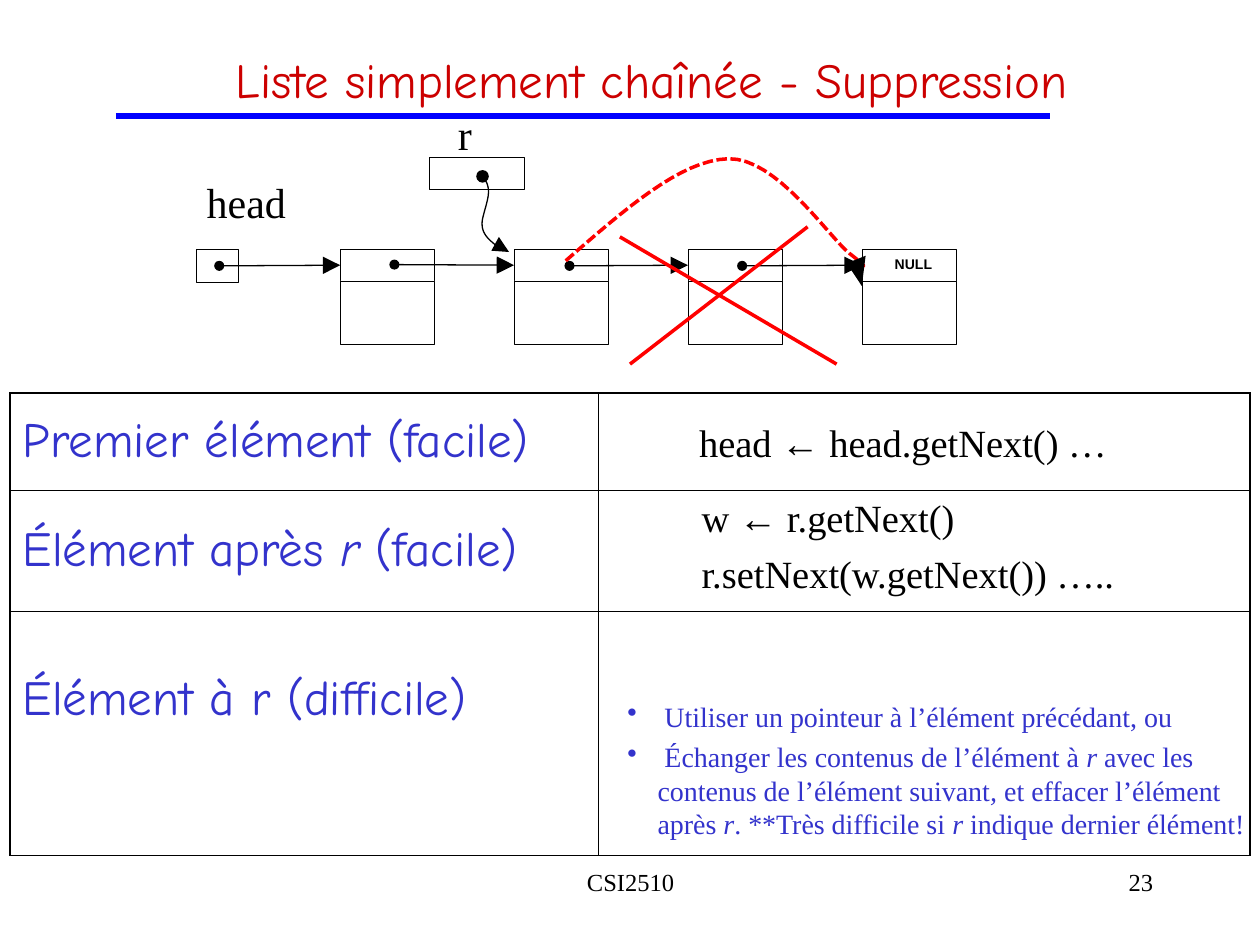
from lxml.etree import SubElement
from pptx import Presentation
from pptx.dml.color import RGBColor
from pptx.enum.dml import MSO_LINE
from pptx.enum.shapes import MSO_CONNECTOR, MSO_SHAPE
from pptx.enum.text import MSO_ANCHOR, PP_ALIGN
from pptx.oxml import parse_xml
from pptx.oxml.ns import nsdecls, qn
from pptx.util import Emu, Pt

PX = 9144
COLORS = {"title": "CC0000", "text": "3333CC", "ink": "000000", "paper": "FFFFFF",
          "mark": "FF0000", "rule": "0000FF"}
SERIF, COMIC, SANS = "Times New Roman", "Comic Neue", "Arial"
LEFT, CENTER, RIGHT = PP_ALIGN.LEFT, PP_ALIGN.CENTER, PP_ALIGN.RIGHT

TITLE = [["Liste simplement chaînée - Suppression"]]
FOOTER = [["CSI2510"]]
PAGE = [["23"]]
CASES = [
    ["Premier élément (facile)"],
    ["Élément après ", ("r", "i"), " (facile)"],
    ["Élément à r (difficile)"],
]
FIRST_CODE = [["head ", ("←", SANS), " head.getNext() …"]]
AFTER_CODE = [["w ", ("←", SANS), " r.getNext()"], ["r.setNext(w.getNext()) ….."]]
ADVICE = [
    [" Utiliser un pointeur à l’élément précédant, ou"],
    [" Échanger les contenus de l’élément à ", ("r ", "i"),
     "avec les contenus de l’élément suivant", (", ", "i"), "et effacer l’élément après",
     (" r", "i"), ". **Très difficile si ", ("r", "i"), " indique dernier élément!"],
]

TABLE_BOX = (8, 312, 984, 367)
COL_WIDTHS, ROW_HEIGHTS = (467, 517), (77, 96, 194)
OUTER, INNER = 1.08, 0.45
NODE_LEFT, NODE_STEP, NODE_TOP, NODE_W, NODE_H = 270, 138, 198, 75, 25
DOTS = [(174, 211), (313, 210), (452, 211), (589, 211)]
R_DOT = (383, 140)
R_CURVE = [(383, 140), (392, 150), (386, 160), (383, 174), (381, 185), (388, 190), (394, 195)]
BYPASS = [(449, 207), (495, 167), (540, 127), (578, 126), (616, 125), (657, 187),
          (674, 201), (692, 215), (683, 210), (684, 211)]
R_HEAD = [(396, 188), (404, 200), (390, 199)]
BYPASS_HEAD = [(687, 203), (672, 209), (684, 227)]
CROSS = [(641, 180, 500, 289), (492, 188, 664, 289)]

prs = Presentation()
prs.slide_width, prs.slide_height = Emu(1000 * PX), Emu(750 * PX)
s = prs.slides.add_slide(prs.slide_layouts[6])


def rgb(name):
    return RGBColor.from_string(COLORS[name])


def emu(values):
    return [Emu(round(v * PX)) for v in values]


def write(tf, paragraphs, size, font, color="ink", align=LEFT, before=0, bold=None):
    for i, parts in enumerate(paragraphs):
        p = tf.add_paragraph() if i else tf.paragraphs[0]
        p.alignment, p.space_before = align, Pt(before)
        p.font.size, p.font.name, p.font.bold = Pt(size), font, bold
        p.font.color.rgb = rgb(color)
        for part in parts:
            text, style = (part, None) if isinstance(part, str) else part
            r = p.add_run()
            r.text = text
            if style == "i":
                r.font.italic = True
            elif style:
                r.font.name = style


def text_box(box, paragraphs, size, font, wrap=True, inset=True, anchor=MSO_ANCHOR.TOP, **style):
    tf = s.shapes.add_textbox(*emu(box)).text_frame
    tf.word_wrap, tf.vertical_anchor = wrap, anchor
    if not inset:
        tf.margin_left = tf.margin_top = tf.margin_right = tf.margin_bottom = 0
    write(tf, paragraphs, size, font, **style)
    return tf


def paint(sp, fill=None, line=None, width=0.25):
    sp.shadow.inherit = False
    if fill:
        sp.fill.solid()
        sp.fill.fore_color.rgb = rgb(fill)
    else:
        sp.fill.background()
    if line:
        sp.line.color.rgb = rgb(line)
        sp.line.width = Pt(width)
    else:
        sp.line.fill.background()
    return sp


def rect(*box):
    return paint(s.shapes.add_shape(MSO_SHAPE.RECTANGLE, *emu(box)), "paper", "ink")


def dot(center, size):
    x, y = center
    box = emu((x - size / 2, y - size / 2, size, size))
    return paint(s.shapes.add_shape(MSO_SHAPE.OVAL, *box), "ink")


def line(ends, color, width):
    c = s.shapes.add_connector(MSO_CONNECTOR.STRAIGHT, *emu(ends))
    c.line.color.rgb, c.line.width = rgb(color), Pt(width)
    SubElement(c._element.spPr, qn("a:effectLst"))
    return c


def outline(points, close):
    pts = [tuple(emu(pt)) for pt in points]
    builder = s.shapes.build_freeform(*pts[0])
    builder.add_line_segments(pts[1:], close=close)
    return builder.convert_to_shape()


def smooth_points(controls, steps=16):
    points = [controls[0]]
    for k in range(0, len(controls) - 1, 3):
        a, b, c, d = controls[k:k + 4]
        for n in range(1, steps + 1):
            t = n / steps
            u = 1 - t
            points.append(tuple(u**3 * a[j] + 3 * u * u * t * b[j] + 3 * u * t * t * c[j]
                                + t**3 * d[j] for j in (0, 1)))
    return points


def set_borders(cell, widths):
    tcPr = cell._tc.get_or_add_tcPr()
    for i, (side, width) in enumerate(zip("LRTB", widths)):
        tcPr.insert(i, parse_xml(
            f'<a:ln{side} {nsdecls("a")} w="{Pt(width)}"><a:solidFill>'
            f'<a:srgbClr val="{COLORS["ink"]}"/></a:solidFill></a:ln{side}>'))


text_box((342, 683, 317, 50), FOOTER, 14, SERIF, align=CENTER)
text_box((717, 683, 208, 50), PAGE, 14, SERIF, align=RIGHT)
text_box((92, 0, 850, 125), TITLE, 28, COMIC, anchor=MSO_ANCHOR.MIDDLE,
         color="title", align=CENTER)

table = s.shapes.add_table(3, 2, *emu(TABLE_BOX)).table
table.first_row = table.horz_banding = False
for col, width in zip(table.columns, emu(COL_WIDTHS)):
    col.width = width
for i, height in enumerate(emu(ROW_HEIGHTS)):
    table.rows[i].height = height
    for j in range(2):
        cell = table.cell(i, j)
        cell.fill.background()
        cell.vertical_anchor = MSO_ANCHOR.MIDDLE
        set_borders(cell, [OUTER if edge else INNER
                           for edge in (j == 0, j == 1, i == 0, i == 2)])
    write(table.cell(i, 0).text_frame, [CASES[i]], 28, COMIC, "text", before=7)
table.cell(2, 0).margin_bottom = Emu(58 * PX)

text_box((545, 328, 378, 47), FIRST_CODE, 22, SERIF, wrap=False, before=5.5)
text_box((547, 387, 387, 91), AFTER_CODE, 22, SERIF, wrap=False, before=5.5)
advice = text_box((488, 550, 512, 122), ADVICE, 16, SERIF, color="text", before=4)
for p in advice.paragraphs:
    pPr = p._p.get_or_add_pPr()
    pPr.set("marL", str(24 * PX))
    pPr.set("indent", str(-24 * PX))
    pPr.insert(1, parse_xml(f'<a:buChar {nsdecls("a")} char="•"/>'))

links = []
for k in range(4):
    x = NODE_LEFT + k * NODE_STEP
    links.append(rect(x, NODE_TOP, NODE_W, NODE_H))
    rect(x, NODE_TOP + NODE_H, NODE_W, 2 * NODE_H)
text_box((710, 203, 30, 13), [["NULL"]], 8, SANS, wrap=False, inset=False,
         align=CENTER, bold=True)
rect(156, 198, 33, 26)
for center, link in zip(DOTS, links):
    arrow = line((*center, *center), "ink", 0.75)
    arrow.end_connect(link, 1)
    SubElement(arrow.line._get_or_add_ln(), qn("a:tailEnd"), type="triangle", w="lg", len="lg")
    dot(center, 8)

text_box((164, 140, 63, 40), [["head"]], 24, SERIF, wrap=False, inset=False, align=CENTER)
rect(341, 125, 75, 25)
paint(outline(smooth_points(R_CURVE), False), line="ink", width=0.75)
dot(R_DOT, 10)
paint(outline(R_HEAD, True), "ink")
text_box((363, 86, 12, 40), [["r"]], 24, SERIF, wrap=False, inset=False, align=CENTER)
bypass = paint(outline(smooth_points(BYPASS), False), line="mark", width=2)
bypass.line.dash_style = MSO_LINE.SQUARE_DOT
paint(outline(BYPASS_HEAD, True), "ink")
for ends in CROSS:
    line(ends, "mark", 2)
line((92, 92, 833, 92), "rule", 3.25)

prs.save("out.pptx")
